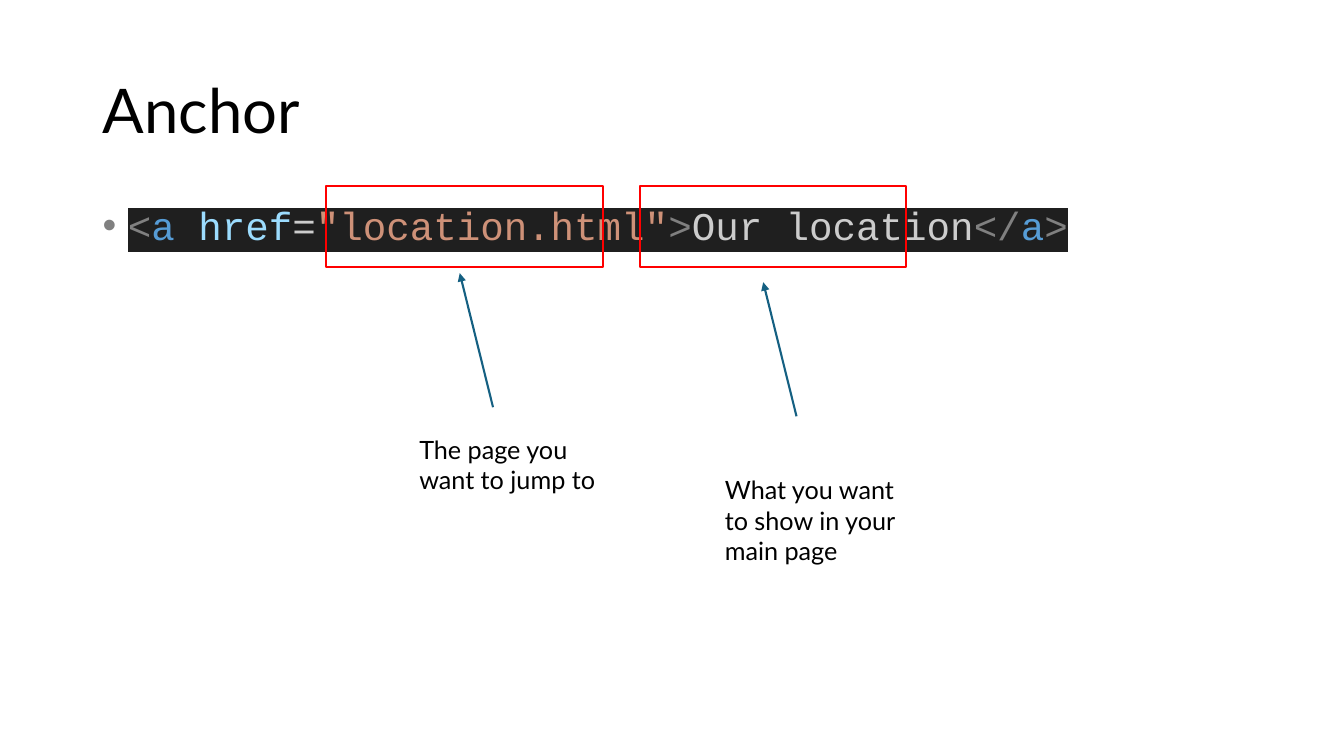
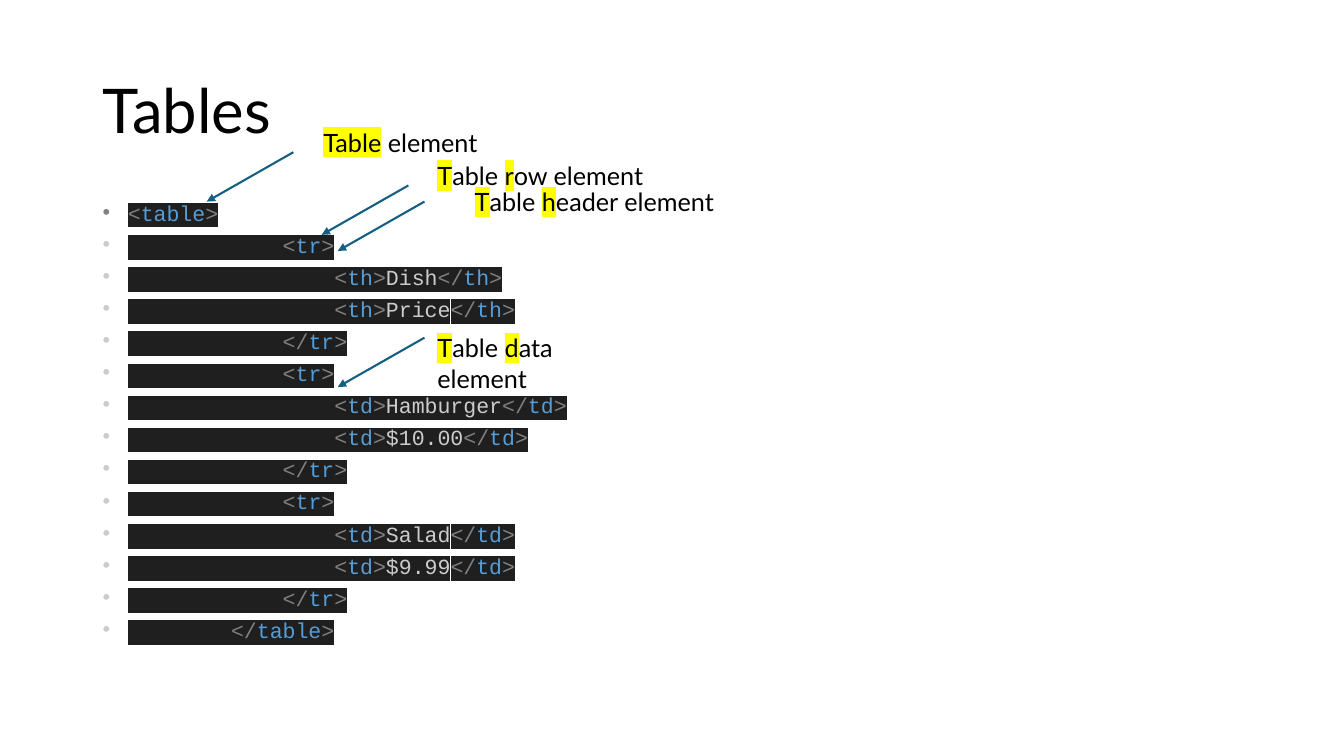
import pptx
import pptx.dml.color
import pptx.enum.shapes
import pptx.enum.text
import pptx.oxml
import pptx.oxml.ns
import pptx.util

Inches = pptx.util.Inches
Pt = pptx.util.Pt
MIDDLE = pptx.enum.text.MSO_ANCHOR.MIDDLE
GROW = pptx.enum.text.MSO_AUTO_SIZE.SHAPE_TO_FIT_TEXT

PUNCTUATION = "808080"
TAG = "569CD6"
ATTRIBUTE = "9CDCFE"
STRING = "CE9178"
PLAIN = "CCCCCC"
CODE_BACKGROUND = "1F1F1F"
BLACK = "000000"
RED = "FF0000"
BLUE = "156082"
YELLOW = "FFFF00"
INDENT_STEP = (chr(160) + " ") * 2


def color(value):
    return pptx.dml.color.RGBColor.from_string(value)


def element(markup):
    head, separator, rest = markup.partition(" ")
    namespace = pptx.oxml.ns.nsdecls("a")
    return pptx.oxml.parse_xml(f"<a:{head} {namespace} {rest}/>")


def set_format(target, values):
    for name, value in values.items():
        setattr(target, name, value)


def opening(name):
    return [("<", PUNCTUATION), (name, TAG), (">", PUNCTUATION)]


def closing(name):
    return [("</", PUNCTUATION), (name, TAG), (">", PUNCTUATION)]


def indented(depth, tokens):
    return [(INDENT_STEP * depth, PLAIN)] + tokens


def table_row(cell_name, values):
    cells = [
        indented(4, opening(cell_name) + [(value, PLAIN)] + closing(cell_name))
        for value in values
    ]
    return [indented(3, opening("tr")), *cells, indented(3, closing("tr"))]


class Deck:
    title_font = {"name": "Lato", "size": Pt(44)}
    label_font = {"name": "Lato", "size": Pt(18)}
    line_width = Pt(1.5)

    def __init__(self):
        self.presentation = pptx.Presentation()
        set_format(
            self.presentation,
            {"slide_width": Inches(13.33), "slide_height": Inches(7.5)},
        )
        self.slide = None

    def add_slide(self, title):
        layout = self.presentation.slide_layouts[6]
        self.slide = self.presentation.slides.add_slide(layout)
        frame = self.text_frame(0.92, 0.4, 11.5, 1.45)
        frame.vertical_anchor = MIDDLE
        paragraph = frame.paragraphs[0]
        paragraph.line_spacing = 0.9
        self.add_run(paragraph, title, BLACK, self.title_font)

    def text_frame(self, left, top, width, height):
        shape = self.slide.shapes.add_textbox(
            Inches(left), Inches(top), Inches(width), Inches(height)
        )
        shape.text_frame.word_wrap = True
        return shape.text_frame

    def add_run(self, paragraph, text, text_color, font, highlight=None):
        run = paragraph.add_run()
        run.text = text
        set_format(run.font, font)
        run.font.color.rgb = color(text_color)
        if highlight:
            mark = pptx.oxml.parse_xml(
                f'<a:highlight {pptx.oxml.ns.nsdecls("a")}>'
                f'<a:srgbClr val="{highlight}"/></a:highlight>'
            )
            run.font.fill._xPr.find(pptx.oxml.ns.qn("a:solidFill")).addnext(mark)

    def add_code(self, lines, height, size, line_spacing):
        frame = self.text_frame(0.92, 2, 11.5, height)
        font = {"name": "Courier New", "size": Pt(size)}
        for index, tokens in enumerate(lines):
            paragraph = frame.add_paragraph() if index else frame.paragraphs[0]
            set_format(
                paragraph, {"line_spacing": line_spacing, "space_before": Pt(10)}
            )
            properties = paragraph._p.get_or_add_pPr()
            properties.set("marL", str(Inches(0.25)))
            properties.set("indent", str(Inches(-0.25)))
            properties.append(element('buFont typeface="Arial"'))
            properties.append(element('buChar char="•"'))
            for text, text_color in tokens:
                self.add_run(paragraph, text, text_color, font, CODE_BACKGROUND)

    def add_label(self, left, top, width, height, parts):
        frame = self.text_frame(left, top, width, height)
        frame.auto_size = GROW
        for text, highlight in parts:
            self.add_run(
                frame.paragraphs[0], text, BLACK, self.label_font, highlight
            )

    def add_frame(self, left, top, width, height):
        shape = self.slide.shapes.add_shape(
            pptx.enum.shapes.MSO_SHAPE.RECTANGLE,
            Inches(left), Inches(top), Inches(width), Inches(height),
        )
        shape.shadow.inherit = False
        shape.fill.background()
        shape.line.color.rgb = color(RED)
        shape.line.width = self.line_width

    def add_arrow(self, left, top, across, down):
        connector = self.slide.shapes.add_connector(
            pptx.enum.shapes.MSO_CONNECTOR.STRAIGHT,
            Inches(left), Inches(top), Inches(left + across), Inches(top + down),
        )
        connector.line.color.rgb = color(BLUE)
        connector.line.width = self.line_width
        connector.line._get_or_add_ln().append(element('tailEnd type="triangle"'))
        connector._element.spPr.append(element("effectLst"))


def add_anchor_slide(deck):
    deck.add_slide("Anchor")
    link = [
        ("<", PUNCTUATION),
        ("a", TAG),
        (" ", PLAIN),
        ("href", ATTRIBUTE),
        ("=", PLAIN),
        ('"location.html"', STRING),
        (">", PUNCTUATION),
        ("Our location", PLAIN),
    ]
    deck.add_code([link + closing("a")], 1, 28, 0.9)
    for left, width in ((6.35, 2.64), (3.23, 2.75)):
        deck.add_frame(left, 1.85, width, 0.8)
    for left, top in ((7.9, 4.13), (4.89, 4.04)):
        deck.add_arrow(left, top, -0.33, -1.33)
    deck.add_label(
        7.09, 4.66, 2.01, 1.01, [("What you want to show in your main page", None)]
    )
    deck.add_label(4.06, 4.26, 2.01, 0.71, [("The page you want to jump to", None)])


def add_tables_slide(deck):
    deck.add_slide("Tables")
    lines = [
        opening("table"),
        *table_row("th", ["Dish", "Price"]),
        *table_row("td", ["Hamburger", "$10.00"]),
        *table_row("td", ["Salad", "$9.99"]),
        indented(2, closing("table")),
    ]
    deck.add_code(lines, 4.76, 15.4, 0.7)
    for left, top in ((2.91, 1.51), (4.05, 1.84), (4.21, 3.35), (4.21, 2)):
        deck.add_arrow(left, top, -0.86, 0.49)
    deck.add_label(3.11, 1.21, 2.27, 0.41, [("Table", YELLOW), (" element", None)])
    for left, top, width, initial, rest in (
        (4.24, 1.54, 2.27, "r", "ow element"),
        (4.61, 1.8, 3.23, "h", "eader element"),
        (4.24, 3.25, 2.27, "d", "ata element"),
    ):
        parts = [("T", YELLOW), ("able ", None), (initial, YELLOW), (rest, None)]
        deck.add_label(left, top, width, 0.41, parts)


def main():
    deck = Deck()
    add_anchor_slide(deck)
    add_tables_slide(deck)
    deck.presentation.save("out.pptx")


if __name__ == "__main__":
    main()
